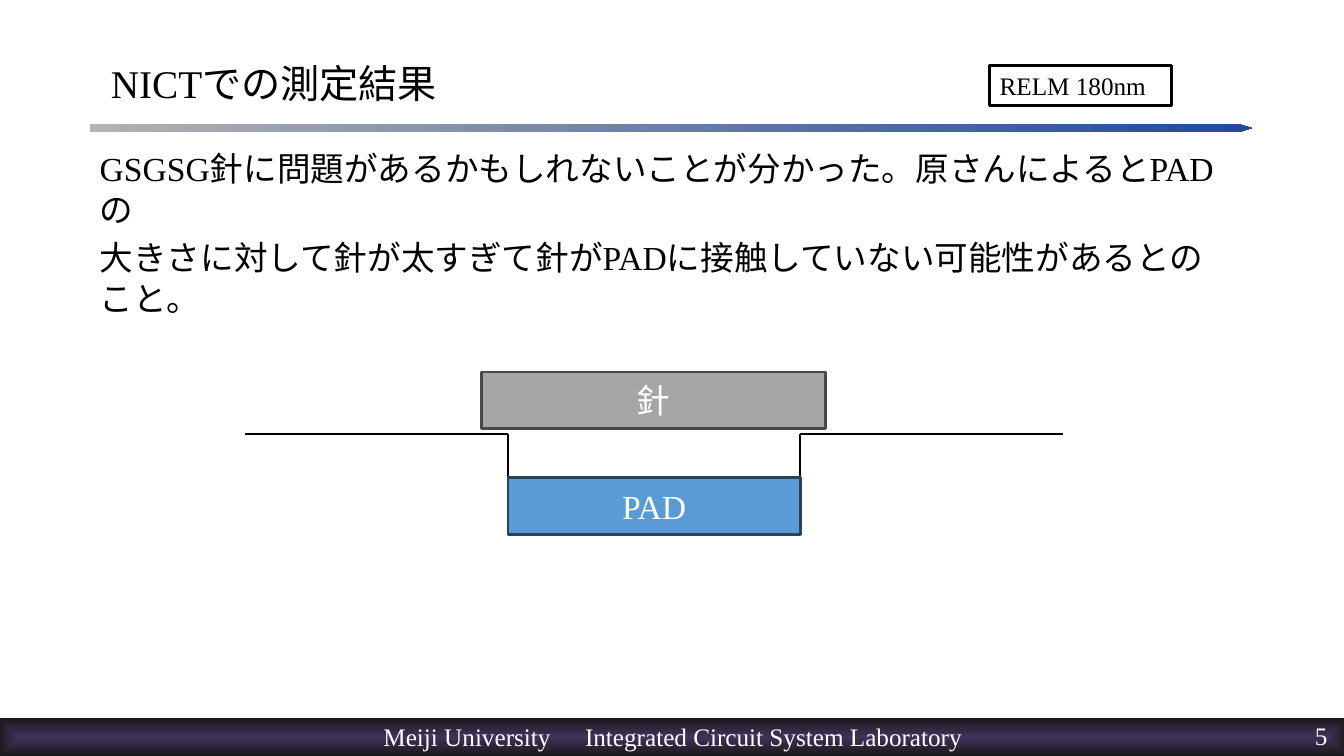
"""Build the slide on measurement results with the needle and pad diagram."""
from lxml import etree
from pptx import Presentation
from pptx.dml.color import RGBColor
from pptx.enum.shapes import MSO_CONNECTOR, MSO_SHAPE
from pptx.enum.text import MSO_ANCHOR, MSO_AUTO_SIZE, PP_ALIGN
from pptx.oxml.ns import qn
from pptx.util import Pt

RECT, PENTAGON = MSO_SHAPE.RECTANGLE, MSO_SHAPE.PENTAGON
STRAIGHT = MSO_CONNECTOR.STRAIGHT
LEFT, CENTER, RIGHT = PP_ALIGN.LEFT, PP_ALIGN.CENTER, PP_ALIGN.RIGHT
TOP, MIDDLE = MSO_ANCHOR.TOP, MSO_ANCHOR.MIDDLE
NO_AUTOFIT = MSO_AUTO_SIZE.NONE

BLACK = RGBColor(0x00, 0x00, 0x00)
WHITE = RGBColor(0xFF, 0xFF, 0xFF)
RULE_GREY = RGBColor(0xB2, 0xB2, 0xB2)
RULE_BLUE = RGBColor(0x21, 0x49, 0x9C)
FOOTER_PURPLE = RGBColor(0x40, 0x32, 0x5A)
FOOTER_DARK = RGBColor(0x19, 0x19, 0x19)
PAD_BLUE = RGBColor(0x5B, 0x9B, 0xD5)
PAD_EDGE = RGBColor(0x28, 0x44, 0x5D)
NEEDLE_GREY = RGBColor(0xA5, 0xA5, 0xA5)
NEEDLE_EDGE = RGBColor(0x48, 0x48, 0x48)
FONT = "Times New Roman"

TITLE = "NICTでの測定結果"
BODY = [
    "GSGSG針に問題があるかもしれないことが分かった。原さんによるとPADの",
    "大きさに対して針が太すぎて針がPADに接触していない可能性があるとのこと。",
]
FOOTER = "Meiji University\tIntegrated Circuit System Laboratory"
PAGE = "5"
TAB_STEP, TAB_COUNT = 35, 8

PAD_BOX = (362.9, 341.3, 208.8, 40.3)
BOXES = [
    ("RELM 180nm", (707, 46.8, 129.6, 28.8), WHITE, BLACK, dict(size=18)),
    ("PAD", PAD_BOX, PAD_BLUE, PAD_EDGE, dict(color=WHITE, align=CENTER)),
    ("針", (344.2, 265.7, 245.5, 40.3), NEEDLE_GREY, NEEDLE_EDGE,
     dict(color=WHITE, align=CENTER)),
]
SURFACE_Y, SURFACE_LENGTH = 310.3, 187.9


def write(sp, lines, size=24, color=BLACK, align=LEFT, anchor=MIDDLE,
          inset=(7.2, 3.6), before=0, wrap=True, tabs=0):
    """Put paragraphs into a shape with one format."""
    tf = sp.text_frame
    tf.auto_size = NO_AUTOFIT
    tf.word_wrap = wrap
    tf.vertical_anchor = anchor
    tf.margin_left = tf.margin_right = Pt(inset[0])
    tf.margin_top = tf.margin_bottom = Pt(inset[1])
    for i, line in enumerate(lines):
        p = tf.paragraphs[0] if i == 0 else tf.add_paragraph()
        p.alignment = align
        p.space_before = Pt(before if i else 0)
        pPr = p._p.get_or_add_pPr()
        pPr.set("marL", "0")
        pPr.set("indent", "0")
        etree.SubElement(pPr, qn("a:buNone"))
        if tabs:
            tab_list = etree.SubElement(pPr, qn("a:tabLst"))
            for n in range(tabs):
                etree.SubElement(tab_list, qn("a:tab"),
                                 pos=str(Pt(n * TAB_STEP)), algn="l")
        r = p.add_run()
        r.text = line
        r.font.name, r.font.size, r.font.color.rgb = FONT, Pt(size), color


def place(sp, box):
    """Move a placeholder to a box in points."""
    sp.left, sp.top, sp.width, sp.height = map(Pt, box)
    return sp


def add_shape(slide, kind, box):
    """Add a preset shape without shadow or outline."""
    sp = slide.shapes.add_shape(kind, *map(Pt, box))
    sp.shadow.inherit = False
    sp.line.fill.background()
    return sp


def add_gradient(sp, first, last):
    """Fill a shape with a gradient from left to right."""
    sp.fill.gradient()
    sp.fill.gradient_angle = 0
    for stop, color, position in zip(sp.fill.gradient_stops, (first, last), (0, 1)):
        stop.color.rgb = color
        stop.position = position


def add_line(slide, x1, y1, x2, y2):
    """Add a thin black straight line."""
    line = slide.shapes.add_connector(STRAIGHT, *map(Pt, (x1, y1, x2, y2)))
    line.line.color.rgb = BLACK
    line.line.width = Pt(1.5)
    etree.SubElement(line._element.spPr, qn("a:effectLst"))


def main():
    """Draw the slide and save it."""
    prs = Presentation()
    prs.slide_width, prs.slide_height = Pt(960), Pt(540)
    slide = prs.slides.add_slide(prs.slide_layouts[1])

    rule = add_shape(slide, PENTAGON, (64, 88.6, 830.2, 5.8))
    rule.adjustments[0] = 1.69
    add_gradient(rule, RULE_GREY, RULE_BLUE)

    footer = add_shape(slide, PENTAGON, (-1.4, 512.6, 964, 27.4))
    footer.adjustments[0] = 0
    add_gradient(footer, FOOTER_PURPLE, FOOTER_DARK)
    grad = footer._element.spPr.find(qn("a:gradFill"))
    grad.remove(grad.find(qn("a:lin")))
    glow = etree.SubElement(grad, qn("a:path"), path="shape")
    etree.SubElement(glow, qn("a:fillToRect"),
                     {side: "50000" for side in "ltrb"})
    write(footer, [FOOTER], size=18, color=WHITE, align=CENTER,
          wrap=False, tabs=TAB_COUNT)

    page = slide.shapes.add_textbox(*map(Pt, (702, 514.8, 246.2, 25)))
    write(page, [PAGE], size=18, color=WHITE, align=RIGHT, anchor=TOP, inset=(0, 0))

    title = place(slide.shapes.title, (72, 20.9, 813.6, 76.3))
    write(title, [TITLE], size=28)
    body = place(slide.placeholders[1], (64, 102.2, 821.5, 76.3))
    write(body, BODY, anchor=TOP, before=6)

    pad_left, pad_top, pad_width, _ = PAD_BOX
    for edge, side in ((pad_left, -1), (pad_left + pad_width, 1)):
        add_line(slide, edge + side * SURFACE_LENGTH, SURFACE_Y, edge, SURFACE_Y)
        add_line(slide, edge, SURFACE_Y, edge, pad_top)

    for text, box, fill, edge, style in BOXES:
        sp = add_shape(slide, RECT, box)
        sp.fill.solid()
        sp.fill.fore_color.rgb = fill
        sp.line.color.rgb = edge
        sp.line.width = Pt(2)
        write(sp, [text], **style)

    prs.save("out.pptx")


if __name__ == "__main__":
    main()
